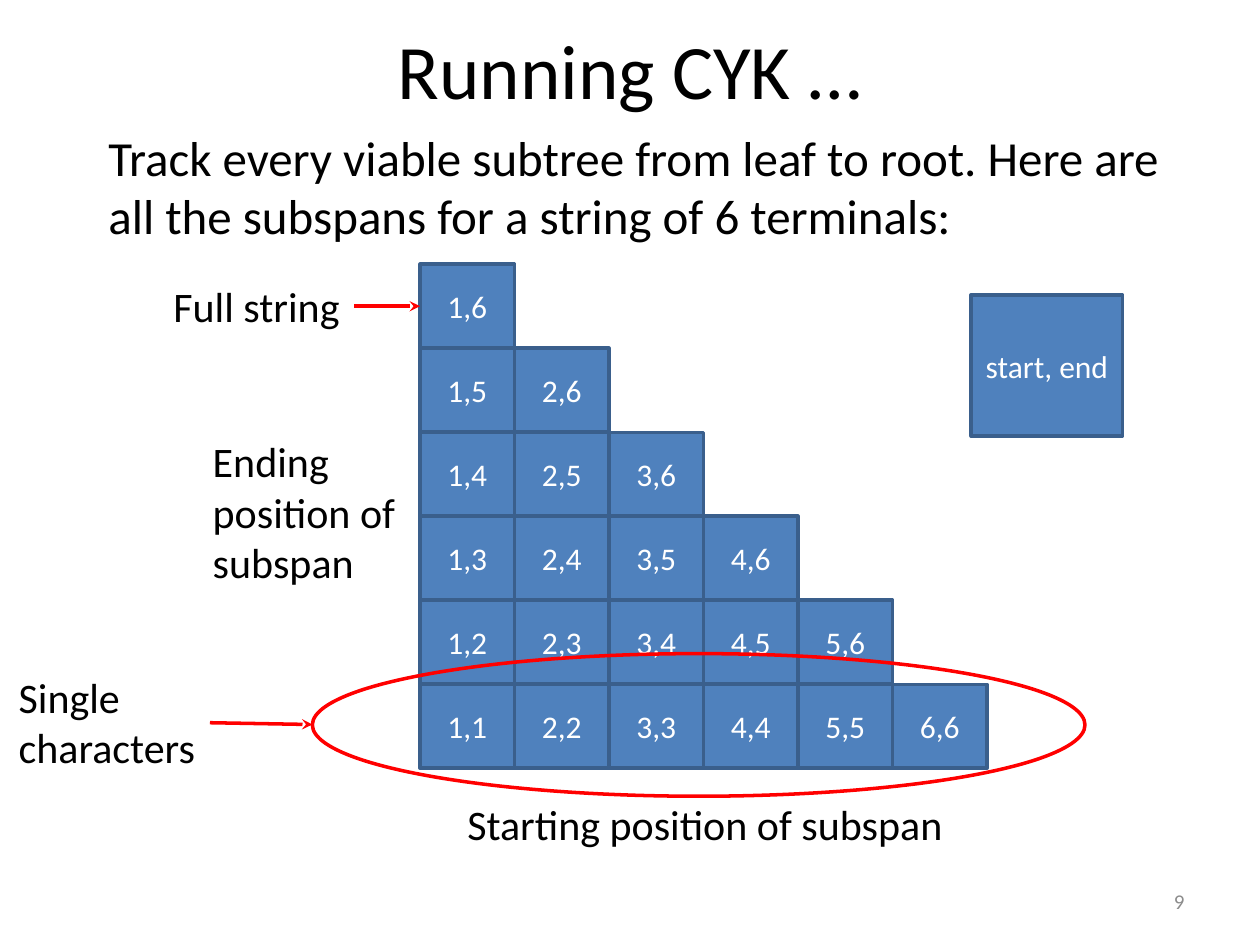
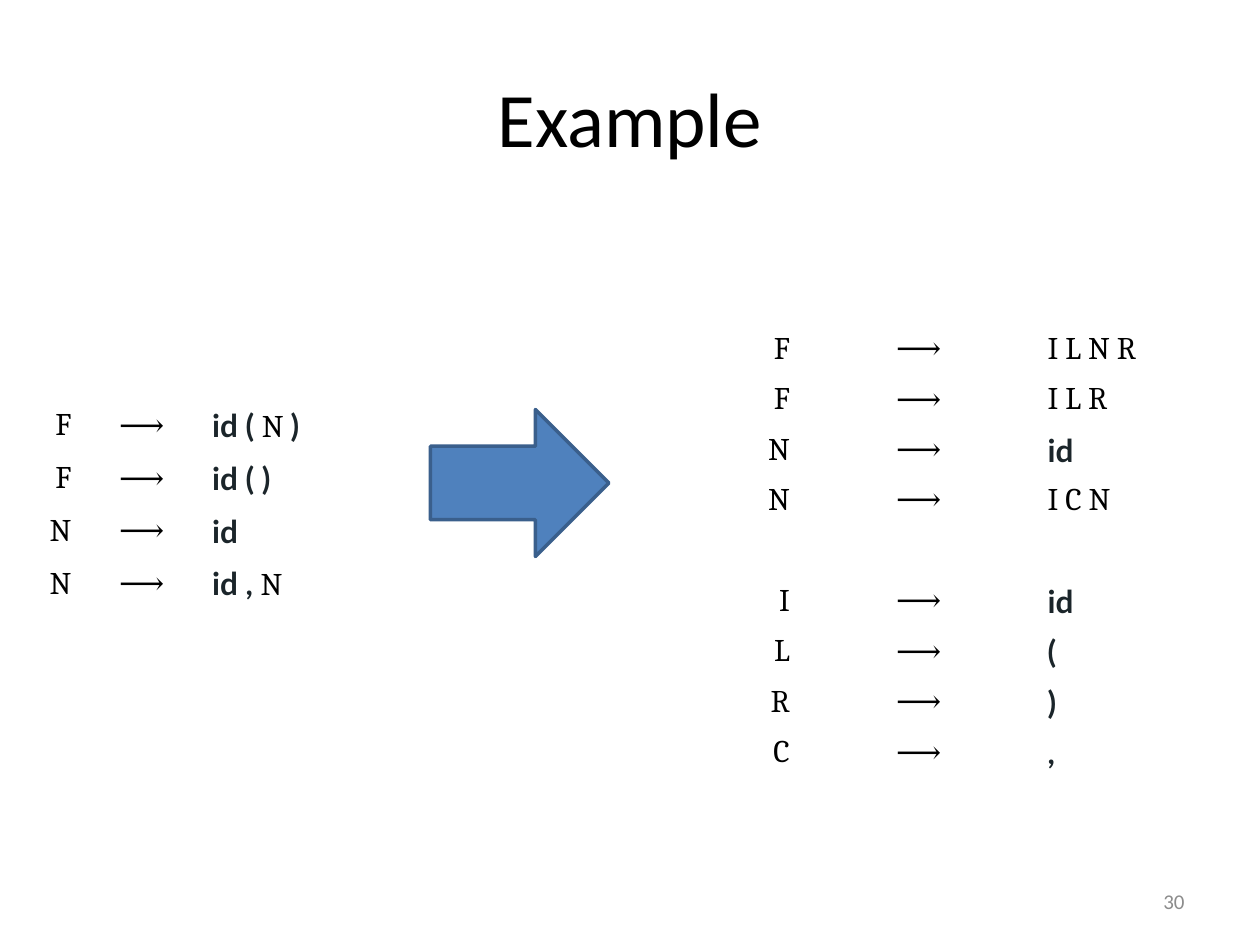
from lxml import etree
from pptx import Presentation
from pptx.dml.color import RGBColor
from pptx.enum.shapes import MSO_CONNECTOR, MSO_SHAPE
from pptx.enum.text import MSO_ANCHOR, MSO_AUTO_SIZE, PP_ALIGN
from pptx.oxml.ns import qn
from pptx.util import Pt

RECTANGLE, ELLIPSE, RIGHT_ARROW = MSO_SHAPE.RECTANGLE, MSO_SHAPE.OVAL, MSO_SHAPE.RIGHT_ARROW
STRAIGHT = MSO_CONNECTOR.STRAIGHT
MIDDLE = MSO_ANCHOR.MIDDLE
LEFT, CENTER, RIGHT = PP_ALIGN.LEFT, PP_ALIGN.CENTER, PP_ALIGN.RIGHT
FIXED_SIZE, GROW = MSO_AUTO_SIZE.NONE, MSO_AUTO_SIZE.SHAPE_TO_FIT_TEXT

COLOURS = {
    "text": "000000",
    "terminal": "1B252A",
    "number": "8C8C8C",
    "white": "FFFFFF",
    "box": "4F81BD",
    "outline": "3A5F8C",
    "mark": "FF0000",
}
LINE_WIDTH = Pt(2)


def add_run(paragraph, text, size, colour="text", font="Calibri", bold=False):
    run = paragraph.add_run()
    run.text = text
    run.font.size = Pt(size)
    run.font.name = font
    run.font.bold = bold
    run.font.color.rgb = RGBColor.from_string(COLOURS[colour])


def add_box(slide, kind, place, fill="box", outline="outline", text=""):
    shape = slide.shapes.add_shape(kind, *map(Pt, place))
    shape.shadow.inherit = False
    if fill:
        shape.fill.solid()
        shape.fill.fore_color.rgb = RGBColor.from_string(COLOURS[fill])
    else:
        shape.fill.background()
    shape.line.color.rgb = RGBColor.from_string(COLOURS[outline])
    shape.line.width = LINE_WIDTH
    if text:
        shape.text_frame.vertical_anchor = MIDDLE
        paragraph = shape.text_frame.paragraphs[0]
        paragraph.alignment = CENTER
        add_run(paragraph, text, 18, "white")


presentation = Presentation()
presentation.slide_width, presentation.slide_height = Pt(720), Pt(540)
chart_slide = presentation.slides.add_slide(presentation.slide_layouts[1])
example_slide = presentation.slides.add_slide(presentation.slide_layouts[5])

# Titles and slide numbers
for slide, title_text, top, height, number in [
    (chart_slide, "Running CYK …", 2, 74, "9"),
    (example_slide, "Example", 21.6, 90, "30"),
]:
    title = slide.shapes.title
    title.left, title.top, title.width, title.height = Pt(36), Pt(top), Pt(648), Pt(height)
    title.text_frame.vertical_anchor = MIDDLE
    paragraph = title.text_frame.paragraphs[0]
    paragraph.alignment = CENTER
    add_run(paragraph, title_text, 44)

    number_box = slide.shapes.add_textbox(Pt(516), Pt(500.5), Pt(168), Pt(28.75))
    number_box.text_frame.word_wrap = True
    number_box.text_frame.vertical_anchor = MIDDLE
    paragraph = number_box.text_frame.paragraphs[0]
    paragraph.alignment = RIGHT
    add_run(paragraph, number, 12, "number")

# Introduction above the chart
body = chart_slide.placeholders[1]
body.left, body.top, body.width, body.height = Pt(36), Pt(69), Pt(642), Pt(80)
body.text_frame.auto_size = FIXED_SIZE
paragraph = body.text_frame.paragraphs[0]
paragraph.level = 1
properties = paragraph._p.get_or_add_pPr()
properties.set("marL", str(Pt(18.75)))
properties.set("indent", "0")
etree.SubElement(properties, qn("a:buNone"))
add_run(paragraph, "Track every viable subtree from leaf to root. "
        "Here are all the subspans for a string of 6 terminals:", 28)

# Triangle of subspans: the bottom row holds the single characters
terminals = 6
cell_width, cell_height = 54, 48
chart_left, bottom_row_top = 240, 391
for extra in range(terminals):
    for start in range(1, terminals - extra + 1):
        place = (chart_left + (start - 1) * cell_width,
                 bottom_row_top - extra * cell_height, cell_width, cell_height)
        add_box(chart_slide, RECTANGLE, place, text=f"{start},{start + extra}")

# Key to the cells
add_box(chart_slide, RECTANGLE, (555, 168.5, 86.5, 80.75), text="start, end")

# Labels around the chart
for lines, place in [
    (["Starting position of subspan"], (260, 453, 288.5, 36)),
    (["Ending", "position of", "subspan"], (114.5, 245.5, 119.5, 94.5)),
    (["Single", "characters"], (3.6, 380, 116.5, 65.5)),
    (["Full string"], (92, 157, 110, 36)),
]:
    label = chart_slide.shapes.add_textbox(*map(Pt, place))
    label.text_frame.word_wrap = False
    label.text_frame.auto_size = GROW
    for index, line in enumerate(lines):
        paragraph = label.text_frame.paragraphs[0] if index == 0 else label.text_frame.add_paragraph()
        add_run(paragraph, line, 24)

# Red marks
add_box(chart_slide, ELLIPSE, (178.5, 373.5, 441.5, 81.5), fill=None, outline="mark")
for ends in [(202.5, 175, 240, 175), (120, 413, 178.5, 414)]:
    arrow = chart_slide.shapes.add_connector(STRAIGHT, *map(Pt, ends))
    arrow.line.color.rgb = RGBColor.from_string(COLOURS["mark"])
    arrow.line.width = LINE_WIDTH
    etree.SubElement(arrow.line._get_or_add_ln(), qn("a:tailEnd"), type="stealth")
    etree.SubElement(arrow._element.spPr, qn("a:effectLst"))

# Grammars: each rule is a symbol and the parts it yields; None is an empty row
source_rules = [
    ("F", ["id ( ", "N ", ")"]),
    ("F", ["id ( )"]),
    ("N", ["id"]),
    ("N", ["id , ", "N"]),
]
normal_form_rules = [
    ("F", ["I L N R"]),
    ("F", ["I L R"]),
    ("N", ["id"]),
    ("N", ["I C N"]),
    None,
    ("I", ["id"]),
    ("L", ["("]),
    ("R", [")"]),
    ("C", [","]),
]
for rules, left, top, widths, row_height in [
    (source_rules, 0, 228, (48, 66, 114), 30.25),
    (normal_form_rules, 330, 185, (128.5, 133, 128.5), 28.8),
]:
    table = example_slide.shapes.add_table(
        len(rules), 3, Pt(left), Pt(top), Pt(sum(widths)), Pt(row_height * len(rules))).table
    table.first_row = table.horz_banding = False
    for column, width in zip(table.columns, widths):
        column.width = Pt(width)
    for row, rule in enumerate(rules):
        table.rows[row].height = Pt(row_height)
        symbol, parts = rule or ("", [])
        contents = [[symbol], ["⟶"], parts] if rule else [[], [], []]
        for column, alignment in enumerate((RIGHT, CENTER, LEFT)):
            cell = table.cell(row, column)
            cell.fill.solid()
            cell.fill.fore_color.rgb = RGBColor.from_string(COLOURS["white"])
            cell.vertical_anchor = MIDDLE
            paragraph = cell.text_frame.paragraphs[0]
            paragraph.alignment = alignment
            for part in contents[column]:
                if column == 1:
                    add_run(paragraph, part, 18, font="Times New Roman")
                elif part[0].isupper():
                    add_run(paragraph, part, 18, font="Cambria")
                else:
                    add_run(paragraph, part, 18, "terminal", "Lato", True)

# Arrow between the grammars
add_box(example_slide, RIGHT_ARROW, (246, 234, 102, 84))

presentation.save("out.pptx")
